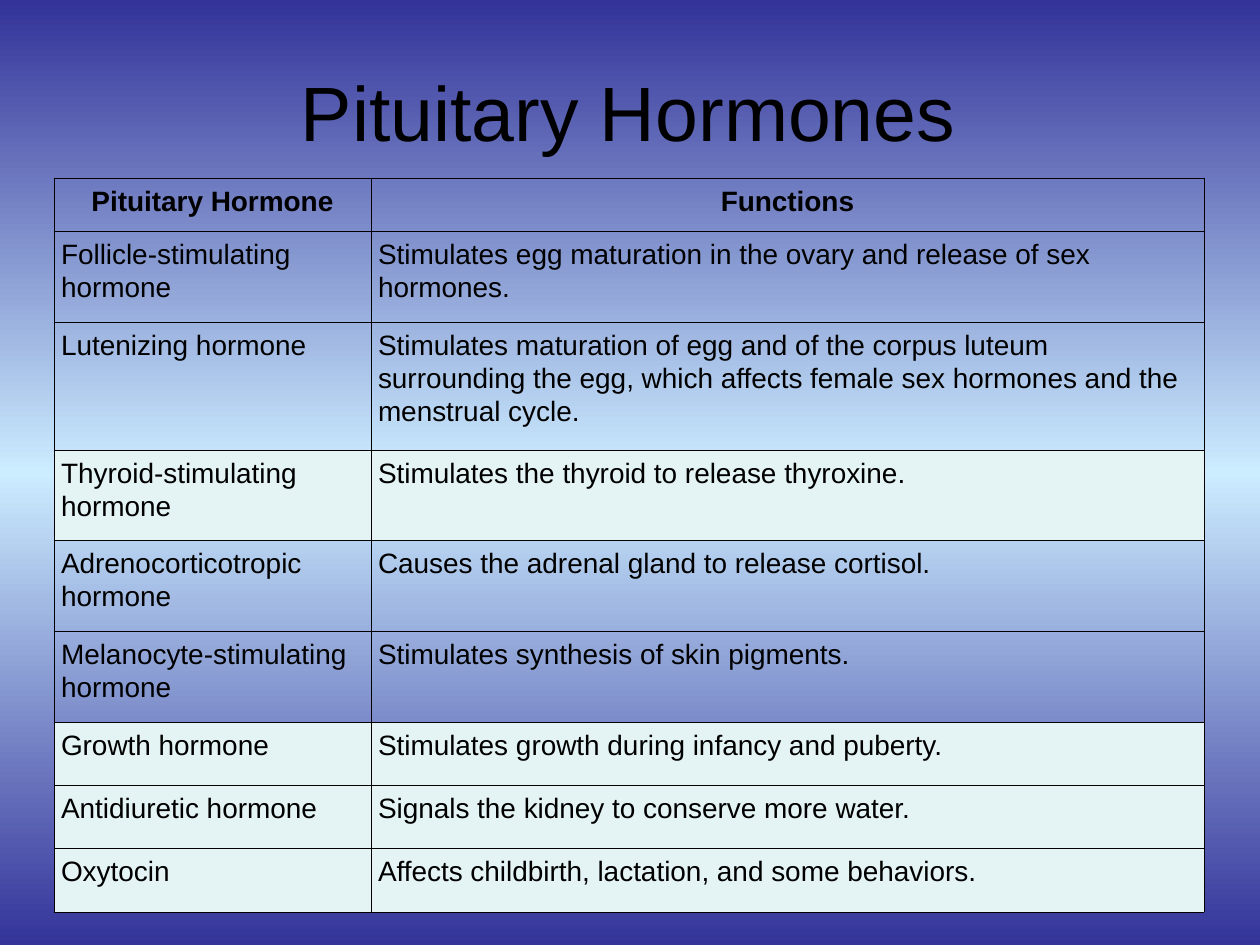
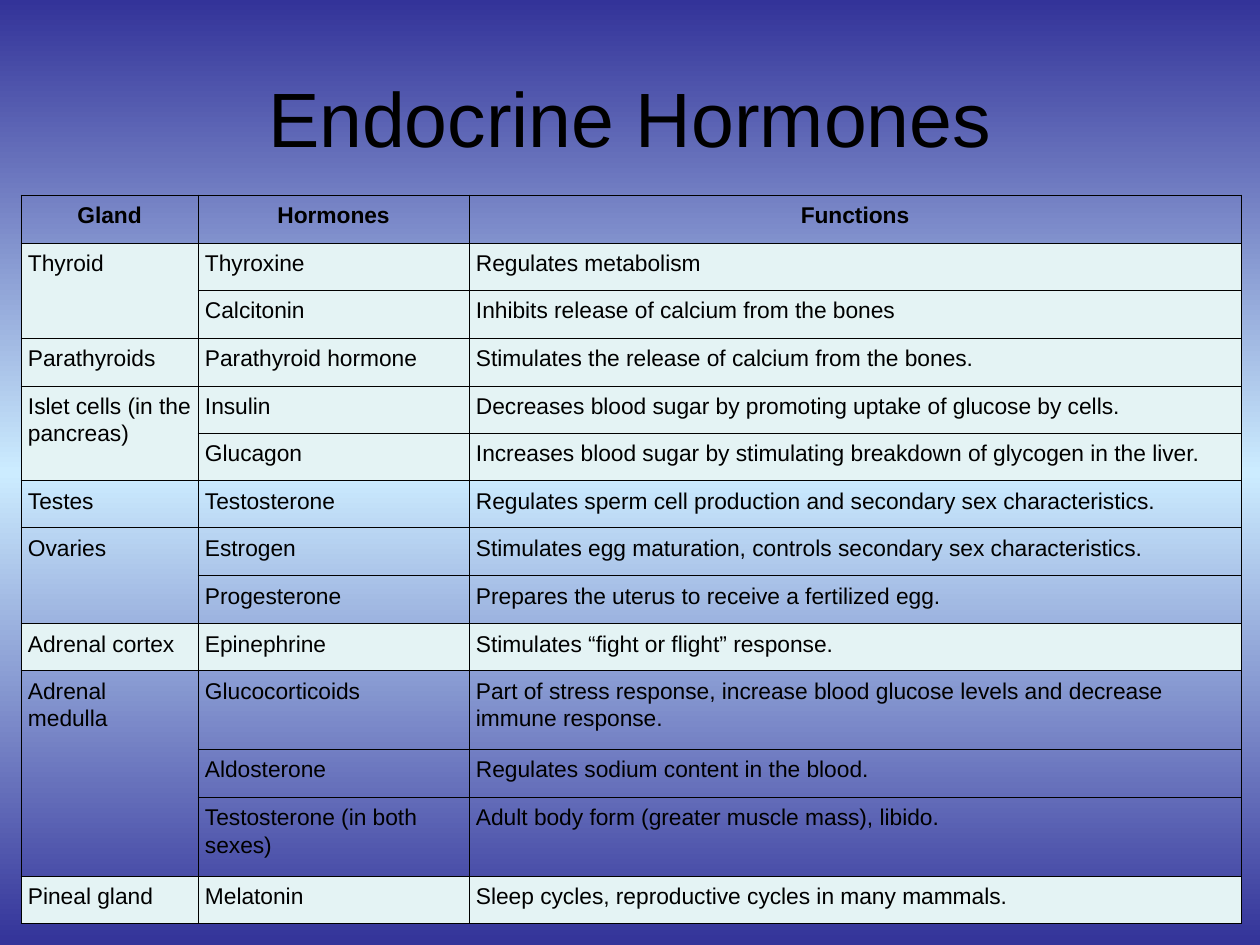
from copy import deepcopy
from dataclasses import dataclass
from itertools import pairwise

from lxml import etree
from pptx import Presentation
from pptx import util as u
from pptx.dml import color
from pptx.enum import text
from pptx.oxml import ns

PX = 914400 / 126


@dataclass(frozen=True)
class Theme:
    font: str = "Arial"
    ink: str = "000000"
    edge: str = "333399"
    glow: str = "CCECFF"
    pale: str = "E4F3F4"
    head: int = 44
    rule: float = 0.45
    lead: float = 1.07


LOOK = Theme()
PLAIN = "{2D5ABB26-0587-4C30-8999-92F81FD0307C}"

PITUITARY = [
    ("Pituitary Hormone", "Functions"),
    ("Follicle-stimulating hormone",
     "Stimulates egg maturation in the ovary and release of sex hormones."),
    ("Lutenizing hormone",
     "Stimulates maturation of egg and of the corpus luteum surrounding the egg, "
     "which affects female sex hormones and the menstrual cycle."),
    ("Thyroid-stimulating hormone", "Stimulates the thyroid to release thyroxine."),
    ("Adrenocorticotropic hormone", "Causes the adrenal gland to release cortisol."),
    ("Melanocyte-stimulating hormone", "Stimulates synthesis of skin pigments."),
    ("Growth hormone", "Stimulates growth during infancy and puberty."),
    ("Antidiuretic hormone", "Signals the kidney to conserve more water."),
    ("Oxytocin", "Affects childbirth, lactation, and some behaviors."),
]

ENDOCRINE = [
    ("Gland", "Hormones", "Functions"),
    ("Thyroid", "Thyroxine", "Regulates metabolism"),
    ("", "Calcitonin", "Inhibits release of calcium from the bones"),
    ("Parathyroids", "Parathyroid hormone",
     "Stimulates the release of calcium from the bones."),
    ("Islet cells (in the pancreas)", "Insulin",
     "Decreases blood sugar by promoting uptake of glucose by cells."),
    ("", "Glucagon",
     "Increases blood sugar by stimulating breakdown of glycogen in the liver."),
    ("Testes", "Testosterone",
     "Regulates sperm cell production and secondary sex characteristics."),
    ("Ovaries", "Estrogen",
     "Stimulates egg maturation, controls secondary sex characteristics."),
    ("", "Progesterone", "Prepares the uterus to receive a fertilized egg."),
    ("Adrenal cortex", "Epinephrine", "Stimulates “fight or flight” response."),
    ("Adrenal medulla", "Glucocorticoids",
     "Part of stress response, increase blood glucose levels and decrease "
     "immune response."),
    ("", "Aldosterone", "Regulates sodium content in the blood."),
    ("", "Testosterone (in both sexes)",
     "Adult body form (greater muscle mass), libido."),
    ("Pineal gland", "Melatonin",
     "Sleep cycles, reproductive cycles in many mammals."),
]


def px(n):
    return u.Emu(round(n * PX))


def rgb(code):
    return color.RGBColor.from_string(code)


def put(item, **vals):
    for name, val in vals.items():
        setattr(item, name, val)


def write(para, words, size, bold=False, mid=False, lead=1.0):
    put(para, line_spacing=lead,
        alignment=text.PP_ALIGN.CENTER if mid else text.PP_ALIGN.LEFT)
    run = para.add_run()
    run.text = words
    put(run.font, name=LOOK.font, size=u.Pt(size), bold=bold)
    run.font.color.rgb = rgb(LOOK.ink)


def backdrop(master):
    fill = master.background.fill
    fill.gradient()
    fill.gradient_angle = 270
    for stop, spot, code in zip(fill.gradient_stops, (0, 0.5),
                                (LOOK.edge, LOOK.glow)):
        stop.position = spot
        stop.color.rgb = rgb(code)
    stops = master.element.find(".//" + ns.qn("a:gsLst"))
    last = deepcopy(stops[0])
    last.set("pos", "100000")
    stops.append(last)


def title(slide, words, left, top, width, height):
    shape = slide.shapes.title
    put(shape, left=px(left), top=px(top), width=px(width), height=px(height))
    shape.text_frame.vertical_anchor = text.MSO_ANCHOR.MIDDLE
    write(shape.text_frame.paragraphs[0], words, LOOK.head, mid=True)


def border(cell):
    props = cell._tc.get_or_add_tcPr()
    for side in ("lnL", "lnR", "lnT", "lnB"):
        line = etree.SubElement(props, ns.qn("a:" + side), w=str(u.Pt(LOOK.rule)))
        solid = etree.SubElement(line, ns.qn("a:solidFill"))
        etree.SubElement(solid, ns.qn("a:srgbClr"), val=LOOK.ink)


def paint(cell, pale):
    border(cell)
    if pale:
        cell.fill.solid()
        cell.fill.fore_color.rgb = rgb(LOOK.pale)
    else:
        cell.fill.background()


def merge(grid, rows):
    start = 0
    for end in range(1, len(rows) + 1):
        if end == len(rows) or rows[end][0]:
            if end - start > 1:
                grid.cell(start, 0).merge(grid.cell(end - 1, 0))
            start = end


def table(slide, rows, xs, ys, size, pale):
    frame = slide.shapes.add_table(
        len(rows), len(rows[0]), px(xs[0]), px(ys[0]),
        px(xs[-1] - xs[0]), px(ys[-1] - ys[0]))
    grid = frame.table
    put(grid, first_row=False, horz_banding=False)
    grid._tbl.tblPr.find(ns.qn("a:tableStyleId")).text = PLAIN
    for col, (a, b) in zip(grid.columns, pairwise(xs)):
        col.width = px(b - a)
    for row, (a, b) in zip(grid.rows, pairwise(ys)):
        row.height = px(b - a)
    merge(grid, rows)
    for r, row in enumerate(rows):
        for c, words in enumerate(row):
            cell = grid.cell(r, c)
            put(cell, margin_left=px(7), margin_right=px(7),
                margin_top=px(6), margin_bottom=px(6))
            paint(cell, r in pale)
            write(cell.text_frame.paragraphs[0], words, size,
                  bold=r == 0, mid=r == 0, lead=LOOK.lead)


def main():
    deck = Presentation()
    put(deck, slide_width=px(1260), slide_height=px(945))
    backdrop(deck.slide_master)
    bare = deck.slide_layouts.get_by_name("Title Only")

    slide = deck.slides.add_slide(bare)
    title(slide, "Pituitary Hormones", 20, 19, 1217, 184)
    table(slide, PITUITARY, (54, 371, 1204),
          (178, 231, 322, 450, 540, 631, 722, 785, 848, 912),
          16, {3, 6, 7, 8})

    slide = deck.slides.add_slide(bare)
    title(slide, "Endocrine Hormones", 63, 38, 1134, 158)
    table(slide, ENDOCRINE, (21, 198, 469, 1241),
          (195, 243, 290, 338, 386, 433, 481, 528, 576, 624, 671,
           750, 798, 877, 924),
          13, {1, 2, 3, 4, 5, 9, 13})

    deck.save("out.pptx")


if __name__ == "__main__":
    main()
